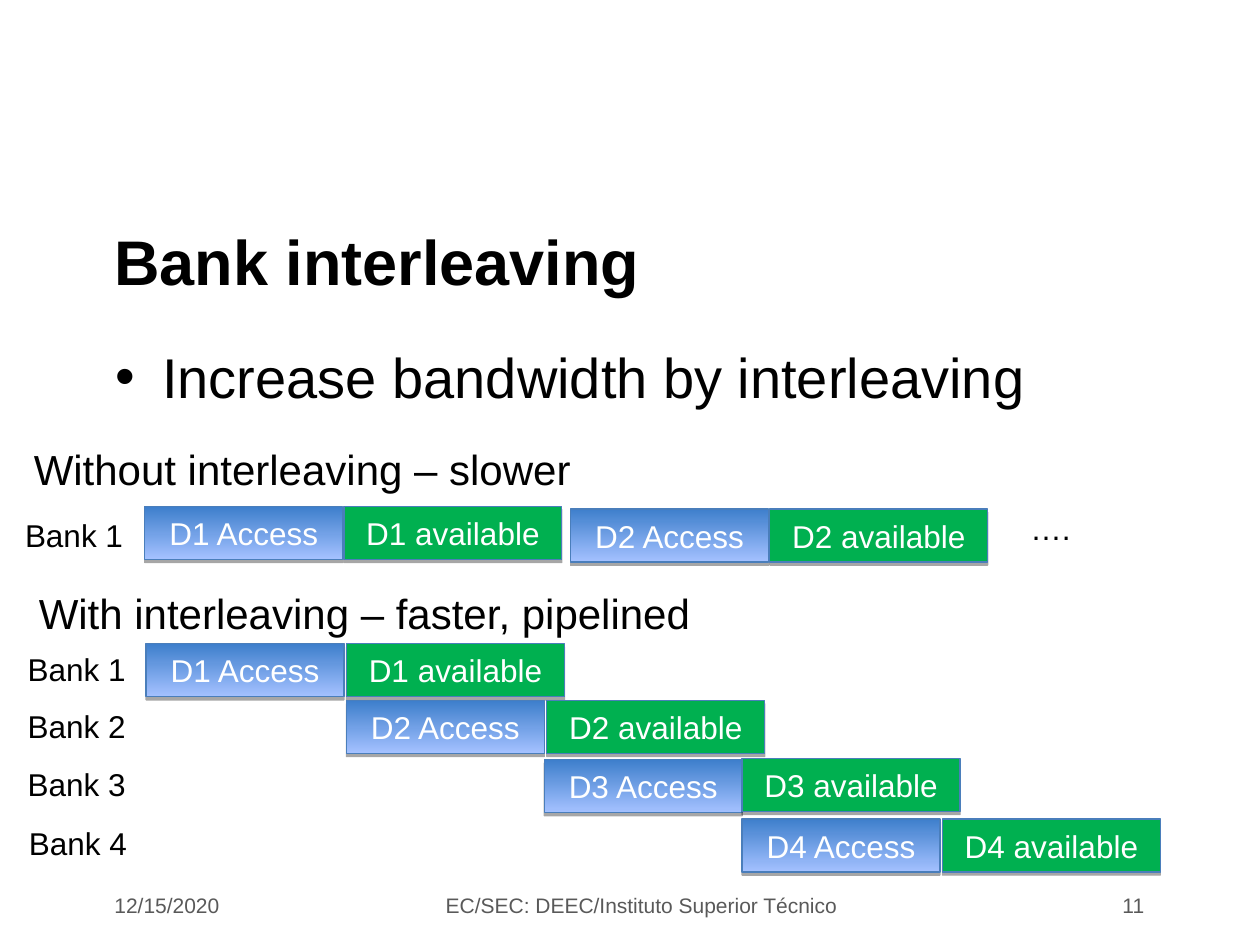
from dataclasses import dataclass

from lxml import etree
from pptx import Presentation
from pptx.dml.color import RGBColor
from pptx.enum.shapes import MSO_SHAPE
from pptx.enum.text import MSO_ANCHOR, MSO_AUTO_SIZE, PP_ALIGN
from pptx.oxml.ns import qn
from pptx.util import Inches, Pt

RECTANGLE = MSO_SHAPE.RECTANGLE
TOP, MIDDLE = MSO_ANCHOR.TOP, MSO_ANCHOR.MIDDLE
LEFT, CENTER, RIGHT = PP_ALIGN.LEFT, PP_ALIGN.CENTER, PP_ALIGN.RIGHT
GROW, FIXED = MSO_AUTO_SIZE.SHAPE_TO_FIT_TEXT, MSO_AUTO_SIZE.NONE


@dataclass(frozen=True)
class Theme:
    font: str = "Arial"
    text: str = "000000"
    muted: str = "595959"
    block_text: str = "FFFFFF"
    access_top: str = "3E7FCC"
    access_bottom: str = "A4C1FF"
    available: str = "00B050"
    outline: str = "4A7EBB"
    shadow: str = "000000"
    title_size: int = 36
    bullet_size: int = 32
    heading_size: int = 24
    label_size: int = 18
    footer_size: int = 12


THEME = Theme()
ACCESS_WIDTH, AVAILABLE_WIDTH, BLOCK_HEIGHT = 1.57, 1.73, 0.42


def rgb(value):
    return RGBColor.from_string(value)


def style_paragraph(para, size, color, align=LEFT, bold=False):
    para.alignment = align
    para.font.name = THEME.font
    para.font.size = Pt(size)
    para.font.bold = bold
    para.font.color.rgb = rgb(color)


def add_text(page, text, at, size, color=THEME.text, align=LEFT,
             anchor=TOP, bold=False, wrap=True):
    box = page.shapes.add_textbox(*(Inches(length) for length in at))
    frame = box.text_frame
    frame.word_wrap = wrap
    frame.auto_size = FIXED if wrap else GROW
    frame.vertical_anchor = anchor
    para = frame.paragraphs[0]
    para.text = text
    style_paragraph(para, size, color, align, bold)
    return para


def add_label(page, text, left, top, width=0.99):
    add_text(page, text, (left, top, width, 0.4), THEME.label_size, wrap=False)


def add_bullet(page, text, at):
    para = add_text(page, text, at, THEME.bullet_size)
    properties = para._p.get_or_add_pPr()
    properties.set("marL", str(Inches(0.38)))
    properties.set("indent", str(Inches(-0.37)))
    bullet = etree.Element(qn("a:buChar"), char="•")
    bullet_font = etree.Element(qn("a:buFont"), typeface=THEME.font)
    properties.insert(0, bullet_font)
    properties.insert(1, bullet)


def add_drop_shadow(shape):
    shape.shadow.inherit = False
    effects = shape._element.spPr.find(qn("a:effectLst"))
    shadow = etree.SubElement(
        effects, qn("a:outerShdw"), blurRad="0", dist=str(Pt(1.8)),
        dir="5400000", rotWithShape="0")
    color = etree.SubElement(shadow, qn("a:srgbClr"), val=THEME.shadow)
    etree.SubElement(color, qn("a:alpha"), val="35000")


def add_block(page, text, left, top, width):
    block = page.shapes.add_shape(
        RECTANGLE, Inches(left), Inches(top), Inches(width), Inches(BLOCK_HEIGHT))
    block.line.color.rgb = rgb(THEME.outline)
    block.line.width = Pt(0.75)
    add_drop_shadow(block)
    frame = block.text_frame
    frame.vertical_anchor = MIDDLE
    frame.text = text
    style_paragraph(frame.paragraphs[0], THEME.label_size, THEME.block_text, CENTER)
    return block


def add_transfer(page, name, access_at, available_at):
    """Draw one datum's access block and the available block that follows it."""
    access = add_block(page, f"{name} Access", *access_at, ACCESS_WIDTH)
    access.fill.gradient()
    access.fill.gradient_angle = 270
    stops = access.fill.gradient_stops
    for stop, color in zip(stops, (THEME.access_top, THEME.access_bottom)):
        stop.color.rgb = rgb(color)
    available = add_block(page, f"{name} available", *available_at, AVAILABLE_WIDTH)
    available.fill.solid()
    available.fill.fore_color.rgb = rgb(THEME.available)


def add_footer(page):
    items = (
        ("12/15/2020", 0.81, 2.02, LEFT),
        ("EC/SEC: DEEC/Instituto Superior Técnico ", 3.42, 3.39, CENTER),
        ("11", 7.18, 2, RIGHT),
    )
    for text, left, width, align in items:
        add_text(page, text, (left, 7.01, width, 0.34), THEME.footer_size,
                 THEME.muted, align, MIDDLE)


def add_sequential_timeline(page):
    add_text(page, "Without interleaving – slower", (0.17, 3.47, 4.46, 0.5),
             THEME.heading_size, wrap=False)
    add_label(page, "Bank 1", 0.1, 4.05)
    add_transfer(page, "D1", (1.15, 4.02), (2.73, 4.02))
    add_transfer(page, "D2", (4.53, 4.04), (6.11, 4.04))
    add_label(page, "….", 8.08, 3.99, 0.52)


def add_interleaved_timeline(page):
    add_text(page, "With interleaving – faster, pipelined", (0.21, 4.61, 5.37, 0.5),
             THEME.heading_size, wrap=False)
    banks = (
        ((0.12, 5.11), (1.16, 5.11), (2.75, 5.11)),
        ((0.12, 5.56), (2.75, 5.56), (4.34, 5.56)),
        ((0.12, 6.02), (4.32, 6.03), (5.89, 6.02)),
        ((0.13, 6.49), (5.89, 6.5), (7.48, 6.5)),
    )
    for number, (label_at, access_at, available_at) in enumerate(banks, start=1):
        add_label(page, f"Bank {number}", *label_at)
        add_transfer(page, f"D{number}", access_at, available_at)


def main():
    deck = Presentation()
    deck.slide_width, deck.slide_height = Inches(10), Inches(7.5)
    page = deck.slides.add_slide(deck.slide_layouts[6])
    add_text(page, "Bank interleaving", (0.81, 1.59, 8.37, 0.95),
             THEME.title_size, anchor=MIDDLE, bold=True)
    add_bullet(page, "Increase bandwidth by interleaving", (0.81, 2.67, 8.37, 0.68))
    add_footer(page)
    add_sequential_timeline(page)
    add_interleaved_timeline(page)
    deck.save("out.pptx")


if __name__ == "__main__":
    main()
